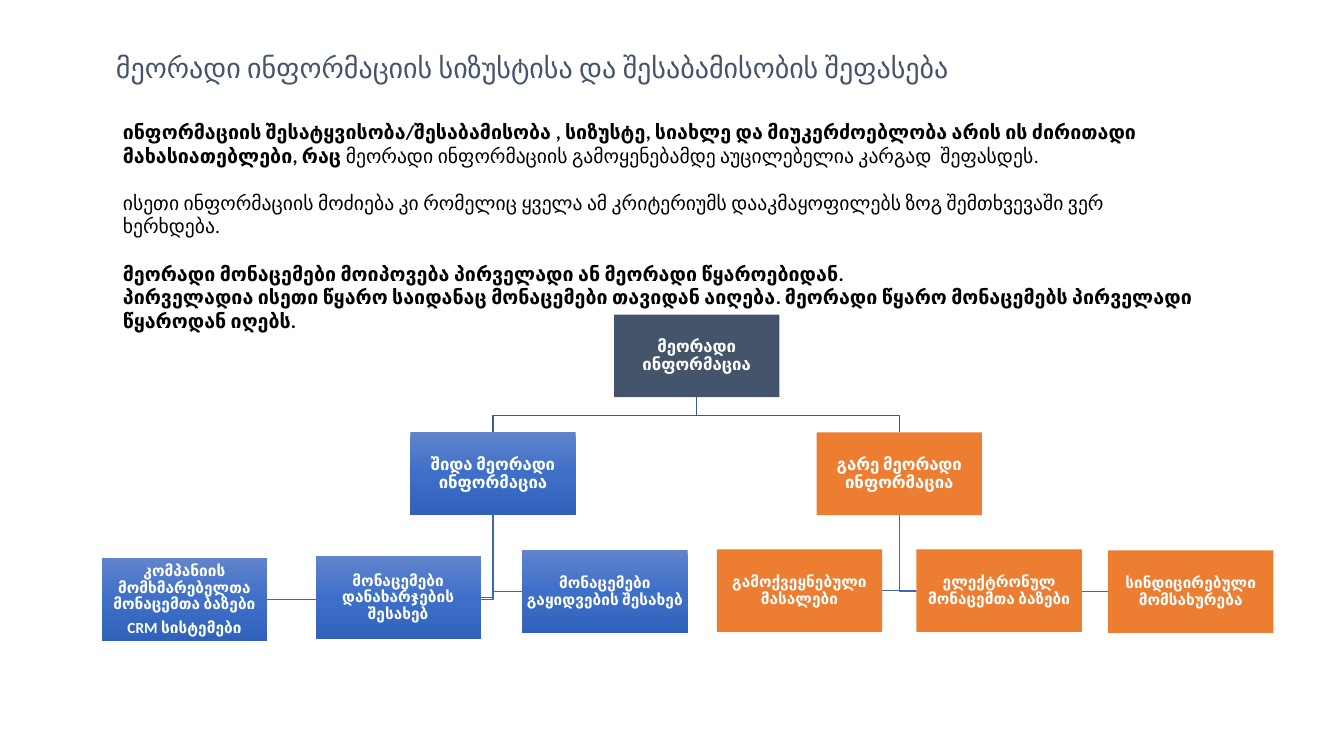
"""Builds a slide on judging secondary information, with a tree of its sources."""
from copy import deepcopy

from pptx import Presentation
from pptx.dml.color import RGBColor
from pptx.enum.shapes import MSO_SHAPE as Preset
from pptx.enum.text import MSO_ANCHOR as Anchor, MSO_AUTO_SIZE as AutoSize, PP_ALIGN as Align
from pptx.oxml.ns import qn
from pptx.util import Pt

PX = 9144
BOX_WIDTH, BOX_HEIGHT = 164, 82
ELBOW_DROP = 18
LINE_GAP = Pt(17)

WHITE = RGBColor(0xFF, 0xFF, 0xFF)
BLACK = RGBColor(0x00, 0x00, 0x00)
SLATE = RGBColor(0x44, 0x54, 0x6A)
ORANGE = RGBColor(0xED, 0x7D, 0x31)
BLUES = (RGBColor(0x61, 0x83, 0xCB), RGBColor(0x3E, 0x70, 0xCA), RGBColor(0x30, 0x62, 0xBB))
BRANCH_LINE = RGBColor(0x36, 0x5B, 0x9D)
LEAF_LINE = RGBColor(0x3E, 0x67, 0xB2)

TITLE = "მეორადი ინფორმაციის სიზუსტისა და შესაბამისობის შეფასება"
BODY = [
    ([("ინფორმაციის შესატყვისობა/შესაბამისობა , სიზუსტე, სიახლე და მიუკერძოებლობა "
       "არის ის ძირითადი მახასიათებლები, რაც ", True),
      ("მეორადი ინფორმაციის გამოყენებამდე აუცილებელია კარგად  შეფასდეს.", False)], LINE_GAP),
    ([("ისეთი ინფორმაციის მოძიება კი რომელიც ყველა ამ კრიტერიუმს დააკმაყოფილებს "
       "ზოგ შემთხვევაში ვერ ხერხდება.", False)], LINE_GAP),
    ([("მეორადი მონაცემები მოიპოვება პირველადი ან მეორადი წყაროებიდან.", True)], 0),
    ([("პირველადია ისეთი წყარო საიდანაც მონაცემები თავიდან აიღება. "
       "მეორადი წყარო მონაცემებს პირველადი წყაროდან იღებს.", True)], 0),
]
ROOT = (609, 312, ["მეორადი ინფორმაცია"])
BRANCHES = [
    (BLUES, (407, 429, ["შიდა მეორადი ინფორმაცია"]), [
        (518, 546, ["მონაცემები გაყიდვების შესახებ"]),
        (313, 552, ["მონაცემები დანახარჯების შესახებ"]),
        (101, 554, ["კომპანიის მომხმარებელთა მონაცემთა ბაზები", "CRM სისტემები"]),
    ]),
    (ORANGE, (810, 429, ["გარე მეორადი ინფორმაცია"]), [
        (711, 545, ["გამოქვეყნებული მასალები"]),
        (909, 545, ["ელექტრონულ მონაცემთა ბაზები"]),
        (1099, 546, ["სინდიცირებული მომსახურება"]),
    ]),
]


def apply_format(target, values):
    """Set each named attribute of the target."""
    for name, value in values.items():
        setattr(target, name, value)


def place(*lengths):
    """Turn px lengths into EMU."""
    return [length * PX for length in lengths]


def add_span(para, text, size, color, bold=False):
    """Add one formatted run."""
    span = para.add_run()
    span.text = text
    apply_format(span.font, {"name": "Calibri", "size": Pt(size), "bold": bold})
    span.font.color.rgb = color


def next_para(frame, index):
    """Return the first paragraph, or a new one after it."""
    return frame.add_paragraph() if index else frame.paragraphs[0]


def add_title(page):
    """Place and fill the title placeholder."""
    title = page.shapes.title
    apply_format(title, dict(zip(("left", "top", "width", "height"), place(105, 45, 956, 44))))
    frame = title.text_frame
    apply_format(frame, {"word_wrap": True, "auto_size": AutoSize.NONE,
                         "vertical_anchor": Anchor.TOP})
    frame.paragraphs[0].alignment = Align.LEFT
    add_span(frame.paragraphs[0], TITLE, 20, SLATE)


def add_body(page):
    """Add the explanatory text."""
    frame = page.shapes.add_textbox(*place(112, 114, 1085, 199)).text_frame
    frame.word_wrap = True
    for index, (spans, gap) in enumerate(BODY):
        para = next_para(frame, index)
        para.space_after = gap
        for text, bold in spans:
            add_span(para, text, 14, BLACK, bold)


def paint(shape, paint_with):
    """Fill with one colour, or with a three-stop downward gradient."""
    fill = shape.fill
    if isinstance(paint_with, RGBColor):
        fill.solid()
        fill.fore_color.rgb = paint_with
        return
    fill.gradient()
    fill.gradient_angle = 270
    stops = shape._element.spPr.find(qn("a:gradFill")).find(qn("a:gsLst"))
    stops.insert(1, deepcopy(stops[0]))
    for index, (stop, color) in enumerate(zip(fill.gradient_stops, paint_with)):
        stop.position = index / 2
        stop.color.rgb = color


def add_box(page, node, paint_with, size):
    """Add one box of the tree."""
    left, top, texts = node
    box = page.shapes.add_shape(Preset.RECTANGLE, *place(left, top, BOX_WIDTH, BOX_HEIGHT))
    box.shadow.inherit = False
    box.line.fill.background()
    paint(box, paint_with)
    frame = box.text_frame
    apply_format(frame, {"word_wrap": True, "vertical_anchor": Anchor.MIDDLE,
                         **dict.fromkeys(("margin_left", "margin_top", "margin_right",
                                          "margin_bottom"), PX)})
    for index, text in enumerate(texts):
        para = next_para(frame, index)
        apply_format(para, {"alignment": Align.CENTER, "line_spacing": 0.9,
                            "space_after": Pt(5)})
        add_span(para, text, size, WHITE, True)


def add_path(page, points, color):
    """Draw an open bent line through the points."""
    builder = page.shapes.build_freeform(*points[0], scale=PX)
    builder.add_line_segments(points[1:], close=False)
    path_line = builder.convert_to_shape()
    path_line.shadow.inherit = False
    path_line.fill.background()
    path_line.line.color.rgb = color
    path_line.line.width = Pt(1)


def link_branch(page, parent, child):
    """Join the parent's bottom to the child's top."""
    start_x, end_x = (node[0] + BOX_WIDTH // 2 for node in (parent, child))
    start_y = parent[1] + BOX_HEIGHT
    bend_y = start_y + ELBOW_DROP
    add_path(page, [(start_x, start_y), (start_x, bend_y), (end_x, bend_y),
                    (end_x, child[1])], BRANCH_LINE)


def link_leaf(page, parent, leaf):
    """Join the parent's bottom to the nearer side of the leaf."""
    trunk_x = parent[0] + BOX_WIDTH // 2
    middle_y = leaf[1] + BOX_HEIGHT // 2
    side_x = leaf[0] if leaf[0] > trunk_x else leaf[0] + BOX_WIDTH
    add_path(page, [(trunk_x, parent[1] + BOX_HEIGHT), (trunk_x, middle_y),
                    (side_x, middle_y)], LEAF_LINE)


def add_tree(page):
    """Draw the links first, then the boxes over them."""
    for _, branch, leaves in BRANCHES:
        link_branch(page, ROOT, branch)
        for leaf in leaves:
            link_leaf(page, branch, leaf)
    add_box(page, ROOT, SLATE, 12)
    for paint_with, branch, leaves in BRANCHES:
        add_box(page, branch, paint_with, 12)
        for leaf in leaves:
            add_box(page, leaf, paint_with, 11)


def main():
    """Build and save the deck."""
    deck = Presentation()
    apply_format(deck, dict(zip(("slide_width", "slide_height"), place(1333, 750))))
    page = deck.slides.add_slide(deck.slide_layouts[5])
    add_title(page)
    add_body(page)
    add_tree(page)
    deck.save("out.pptx")


if __name__ == "__main__":
    main()
